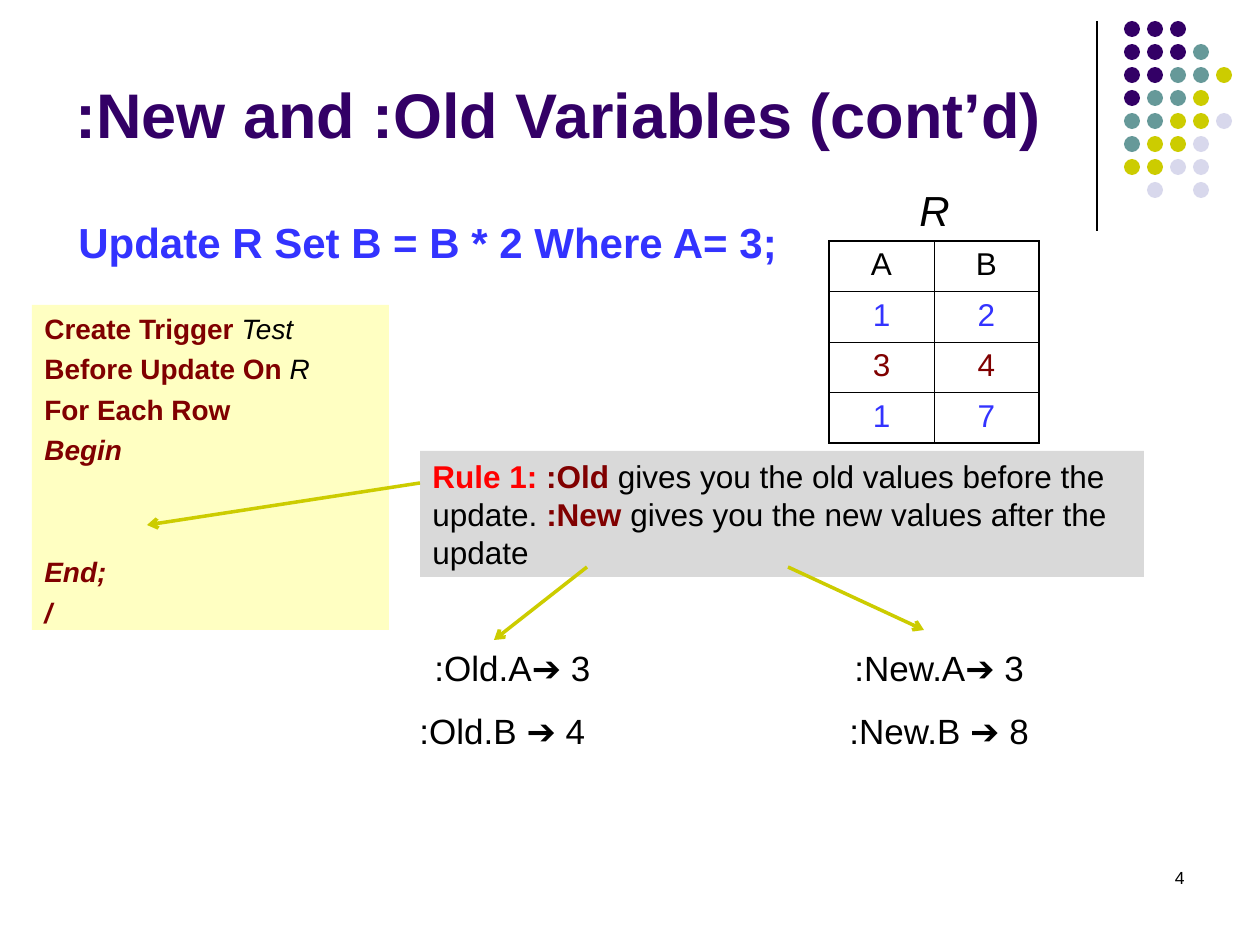
import dataclasses
import typing

import lxml.etree
import pptx
import pptx.dml.color
import pptx.enum.shapes
import pptx.enum.text
import pptx.oxml.ns
import pptx.util

EMU_PER_PX = 914400 / 126
COLORS = {
    "black": "000000", "purple": "330066", "teal": "669999", "olive": "CCCC00",
    "lavender": "D8D8EC", "blue": "3333FF", "maroon": "800000", "red": "FF0000",
    "cream": "FFFFC2", "gray": "D9D9D9",
}
ALIGN = pptx.enum.text.PP_ALIGN
ANCHOR = pptx.enum.text.MSO_ANCHOR
qn = pptx.oxml.ns.qn


@dataclasses.dataclass
class Run:
    text: str
    color: str = "black"
    bold: bool = False
    italic: bool = False


@dataclasses.dataclass
class Line:
    runs: typing.List[Run]
    before: float = 0


@dataclasses.dataclass
class TextBlock:
    left: int
    top: int
    width: int
    height: int
    size: int
    lines: typing.List[Line]
    fill: typing.Optional[str] = None
    align: ALIGN = ALIGN.LEFT
    anchor: ANCHOR = ANCHOR.TOP
    wrap: bool = False


@dataclasses.dataclass
class Stroke:
    start: typing.Tuple[int, int]
    end: typing.Tuple[int, int]
    color: str = "olive"
    width: float = 2
    arrow: bool = True


def px(length: int) -> pptx.util.Emu:
    return pptx.util.Emu(round(length * EMU_PER_PX))


def rgb(name: str) -> pptx.dml.color.RGBColor:
    return pptx.dml.color.RGBColor.from_string(COLORS[name])


def write_run(paragraph, run: Run, size: int) -> None:
    text_run = paragraph.add_run()
    text_run.text = run.text
    font_format = {"name": "Arial", "size": pptx.util.Pt(size),
                   "bold": run.bold, "italic": run.italic}
    for attribute, value in font_format.items():
        setattr(text_run.font, attribute, value)
    text_run.font.color.rgb = rgb(run.color)


def draw_text(slide, block: TextBlock) -> None:
    bounds = [px(v) for v in (block.left, block.top, block.width, block.height)]
    if block.fill:
        shape = slide.shapes.add_shape(pptx.enum.shapes.MSO_SHAPE.RECTANGLE, *bounds)
        shape.shadow.inherit = False
        shape.fill.solid()
        shape.fill.fore_color.rgb = rgb(block.fill)
        shape.line.fill.background()
    else:
        shape = slide.shapes.add_textbox(*bounds)
    frame = shape.text_frame
    frame_format = {"word_wrap": block.wrap, "vertical_anchor": block.anchor}
    for attribute, value in frame_format.items():
        setattr(frame, attribute, value)
    for index, line in enumerate(block.lines):
        paragraph = frame.add_paragraph() if index else frame.paragraphs[0]
        paragraph.alignment = block.align
        if line.before:
            paragraph.space_before = pptx.util.Pt(line.before)
        for run in line.runs:
            write_run(paragraph, run, block.size)


def draw_stroke(slide, stroke: Stroke) -> None:
    connector = slide.shapes.add_connector(
        pptx.enum.shapes.MSO_CONNECTOR.STRAIGHT,
        *[px(v) for v in stroke.start + stroke.end])
    connector.line.color.rgb = rgb(stroke.color)
    connector.line.width = pptx.util.Pt(stroke.width)
    properties = connector._element.spPr
    if stroke.arrow:
        outline = properties.find(qn("a:ln"))
        lxml.etree.SubElement(outline, qn("a:tailEnd"), type="arrow")
    lxml.etree.SubElement(properties, qn("a:effectLst"))


def draw_dots(slide) -> None:
    pattern = ["PPP", "PPPT", "PPTTY", "PTTY", "TTYYL", "TYYL", "YYLL", " L L"]
    dot_colors = {"P": "purple", "T": "teal", "Y": "olive", "L": "lavender"}
    pitch, diameter = 23, 16
    for row, codes in enumerate(pattern):
        for column, code in enumerate(codes):
            if code not in dot_colors:
                continue
            dot = slide.shapes.add_shape(
                pptx.enum.shapes.MSO_SHAPE.OVAL, px(1124 + column * pitch),
                px(21 + row * pitch), px(diameter), px(diameter))
            dot.shadow.inherit = False
            dot.fill.solid()
            dot.fill.fore_color.rgb = rgb(dot_colors[code])
            dot.line.fill.background()


def set_borders(cell, widths: typing.Dict[str, float]) -> None:
    properties = cell._tc.get_or_add_tcPr()
    for index, (side, width) in enumerate(widths.items()):
        border = lxml.etree.Element(qn("a:" + side), w=str(pptx.util.Pt(width)))
        fill = lxml.etree.SubElement(border, qn("a:solidFill"))
        lxml.etree.SubElement(fill, qn("a:srgbClr"), val=COLORS["black"])
        properties.insert(index, border)


def draw_relation(slide) -> None:
    rows = [("A", "B", "black"), ("1", "2", "blue"), ("3", "4", "maroon"), ("1", "7", "blue")]
    outer, inner = 1.08, 0.45
    last_row, last_column = len(rows) - 1, 1
    table = slide.shapes.add_table(
        len(rows), 2, px(829), px(241), px(210), px(202)).table
    for flag in ("first_row", "horz_banding"):
        setattr(table, flag, False)
    for r, (*values, color) in enumerate(rows):
        for c, value in enumerate(values):
            cell = table.cell(r, c)
            cell.fill.background()
            paragraph = cell.text_frame.paragraphs[0]
            paragraph.alignment = ALIGN.CENTER
            write_run(paragraph, Run(value, color), 18)
            set_borders(cell, {
                "lnL": outer if c == 0 else inner,
                "lnR": outer if c == last_column else inner,
                "lnT": outer if r == 0 else inner,
                "lnB": outer if r == last_row else inner,
            })


def keyword(text: str, italic: bool = False) -> Run:
    return Run(text, "maroon", True, italic)


def single(text: str, **style) -> typing.List[Line]:
    return [Line([Run(text, **style)])]


TITLE = TextBlock(63, 16, 1040, 141, 36, single(
    ":New and :Old Variables (cont’d)", color="purple", bold=True),
    anchor=ANCHOR.BOTTOM, wrap=True)
TRIGGER = TextBlock(32, 305, 357, 325, 16, [
    Line([keyword("Create Trigger "), Run("Test", italic=True)]),
    Line([keyword("Before Update On "), Run("R", italic=True)], 4),
    Line([keyword("For Each Row")], 4),
    Line([keyword("Begin", True)], 4),
    Line([keyword("End;", True)], 50.5),
    Line([keyword("/", True)], 4),
], fill="cream", wrap=True)
RULE = TextBlock(420, 451, 724, 126, 18, [Line([
    Run("Rule 1: ", "red", True), keyword(":Old"),
    Run(" gives you the old values before the update. "), keyword(":New "),
    Run("gives you the new values after the update"),
])], fill="gray", wrap=True)
TEXTS = [
    TITLE,
    TextBlock(903, 861, 294, 63, 10, single("4"), align=ALIGN.RIGHT, wrap=True),
    TextBlock(907, 178, 55, 63, 24, single("R", italic=True)),
    TextBlock(66, 210, 724, 63, 24, single(
        "Update R Set B = B * 2 Where A= 3;", color="blue", bold=True)),
    TRIGGER,
    RULE,
    TextBlock(422, 640, 186, 55, 20, single(":Old.A➔ 3")),
    TextBlock(407, 703, 207, 55, 20, single(":Old.B ➔ 4")),
    TextBlock(842, 640, 203, 55, 20, single(":New.A➔ 3")),
    TextBlock(837, 703, 222, 55, 20, single(":New.B ➔ 8")),
]
STROKES = [
    Stroke((1097, 21), (1097, 231), "black", 0.75, False),
    Stroke((420, 483), (147, 525)),
    Stroke((587, 567), (494, 640)),
    Stroke((788, 567), (924, 630)),
]


def main() -> None:
    presentation = pptx.Presentation()
    presentation.slide_width, presentation.slide_height = px(1260), px(945)
    slide = presentation.slides.add_slide(presentation.slide_layouts[6])
    draw_dots(slide)
    draw_relation(slide)
    for block in TEXTS:
        draw_text(slide, block)
    for stroke in STROKES:
        draw_stroke(slide, stroke)
    presentation.save("out.pptx")


if __name__ == "__main__":
    main()
